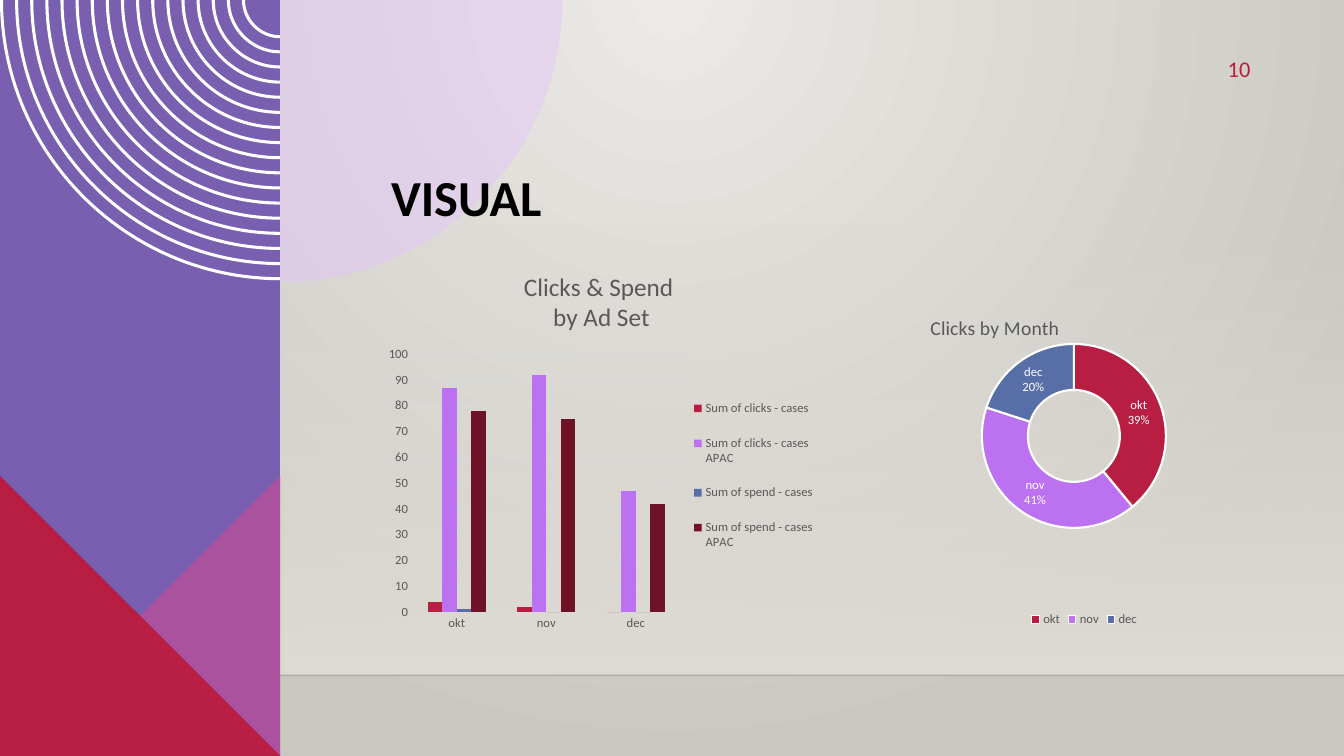
from lxml import etree
from pptx import Presentation
from pptx import util as u
from pptx.chart import data as chart_data
from pptx.dml.color import RGBColor
from pptx.enum import chart as charts, shapes, text
from pptx.oxml import parse_xml
from pptx.oxml.ns import nsdecls, qn

COLORS = {
    "black": "000000", "rule": "000001", "white": "FFFFFF", "purple": "795FAF", "red": "B71E42",
    "pink": "DE478E", "lilac": "E4C7F9", "violet": "BC72F0", "blue": "586EA6",
    "wine": "6E1228", "gray": "595959", "grid": "D9D9D9",
    "light": "ECEAE7", "dark": "CAC7C1", "floor": "DFDBD5",
}
FONT = "Calibri"
MONTHS = ["okt", "nov", "dec"]
PANEL = 2.78  # width of the coloured side panel


def arc(radius):
    """Bezier points of a quarter circle around the panel's top right corner."""
    bend = 0.55 * radius
    return [(PANEL - radius, 0), (PANEL - radius, bend), (PANEL - bend, radius), (PANEL, radius)]


def set_alpha(fill_element, percent):
    for color in fill_element.iter(qn("a:srgbClr")):
        etree.SubElement(color, qn("a:alpha")).set("val", str(percent * 1000))


def bend_lines(shape):
    """Turn each contour's segments into curves: three points a curve, then one line."""
    count = 0
    for segment in list(shape.element.iter(qn("a:moveTo"), qn("a:lnTo"))):
        if segment.tag == qn("a:moveTo"):
            count = 0
            continue
        if count % 4 == 0:
            curve = etree.Element(qn("a:cubicBezTo"))
            segment.addprevious(curve)
        if count % 4 < 3:
            curve.append(segment[0])
            segment.getparent().remove(segment)
        count += 1


def set_layout(parent, index, inner=False, **parts):
    """Place a chart part by fractions of the chart's size."""
    for old in parent.findall(qn("c:layout")):
        parent.remove(old)
    layout = etree.Element(qn("c:layout"))
    manual = etree.SubElement(layout, qn("c:manualLayout"))
    values = [("layoutTarget", "inner")] if inner else []
    values += [("xMode", "edge"), ("yMode", "edge")] + list(parts.items())
    for name, value in values:
        etree.SubElement(manual, qn("c:" + name)).set("val", str(value))
    parent.insert(index, layout)


class SlideBuilder:
    def __init__(self, slide):
        self.slide = slide

    def color(self, name):
        return RGBColor.from_string(COLORS[name])

    def style(self, font, size, color, bold=False):
        font.name, font.size, font.bold = FONT, u.Pt(size), bold
        font.color.rgb = self.color(color)

    def gradient(self, fill, first, last):
        fill.gradient()
        for stop, name, position in zip(fill.gradient_stops, (first, last), (0, 1)):
            stop.color.rgb = self.color(name)
            stop.position = position

    def background(self, first, last):
        self.gradient(self.slide.background.fill, first, last)
        element = self.slide.element.find(".//" + qn("a:gradFill"))
        element.replace(element.find(qn("a:lin")), parse_xml(
            f'<a:path {nsdecls("a")} path="circle">'
            '<a:fillToRect l="43000" t="0" r="43000" b="100000"/></a:path>'))

    def fade(self, left, top, width, height, color):
        shape = self.slide.shapes.add_shape(
            shapes.MSO_SHAPE.RECTANGLE, *map(u.Inches, (left, top, width, height)))
        shape.shadow.inherit = False
        shape.line.fill.background()
        self.gradient(shape.fill, color, color)
        shape.fill.gradient_angle = 270
        set_alpha(shape.element.spPr.find(".//" + qn("a:gs")), 0)

    def line(self, start, end, color, width, alpha):
        line = self.slide.shapes.add_connector(
            shapes.MSO_CONNECTOR.STRAIGHT, *map(u.Inches, start + end))
        line.line.width = u.Pt(width)
        line.line.color.rgb = self.color(color)
        properties = line.element.spPr
        set_alpha(properties, alpha)
        etree.SubElement(properties, qn("a:effectLst"))

    def outline(self, contours, color, alpha=100, curved=False):
        builder = None
        for contour in contours:
            first, *rest = [(u.Inches(x), u.Inches(y)) for x, y in contour]
            if builder is None:
                builder = self.slide.shapes.build_freeform(*first)
            else:
                builder.move_to(*first)
            builder.add_line_segments(rest, close=not curved)
        shape = builder.convert_to_shape()
        if curved:
            bend_lines(shape)
        shape.shadow.inherit = False
        shape.line.fill.background()
        shape.fill.solid()
        shape.fill.fore_color.rgb = self.color(color)
        if alpha < 100:
            set_alpha(shape.element.spPr, alpha)

    def text(self, left, top, width, height, words, size, color, bold=False,
             align=text.PP_ALIGN.LEFT, anchor=text.MSO_ANCHOR.TOP, margin=0.05):
        box = self.slide.shapes.add_textbox(*map(u.Inches, (left, top, width, height)))
        frame = box.text_frame
        frame.word_wrap = True
        frame.vertical_anchor = anchor
        frame.margin_top = frame.margin_bottom = u.Inches(margin)
        paragraph = frame.paragraphs[0]
        paragraph.alignment = align
        run = paragraph.add_run()
        run.text = words
        self.style(run.font, size, color, bold)

    def chart(self, kind, left, top, width, height, series, title, title_size, legend):
        data = chart_data.CategoryChartData()
        data.categories = MONTHS
        for name, values in series:
            data.add_series(name, values)
        chart = self.slide.shapes.add_chart(
            kind, *map(u.Inches, (left, top, width, height)), data).chart
        self.style(chart.font, 10, "black")
        chart.has_title = True
        frame = chart.chart_title.text_frame
        for i, words in enumerate(title):
            paragraph = frame.add_paragraph() if i else frame.paragraphs[0]
            paragraph.alignment = text.PP_ALIGN.CENTER
            run = paragraph.add_run()
            run.text = words
            self.style(run.font, title_size, "gray")
        chart.has_legend = True
        chart.legend.position = legend
        chart.legend.include_in_layout = False
        self.style(chart.legend.font, 9, "gray")
        return chart

    def column_chart(self, *box, series, colors, title):
        chart = self.chart(charts.XL_CHART_TYPE.COLUMN_CLUSTERED, *box, series, title, 18,
                           charts.XL_LEGEND_POSITION.RIGHT)
        plot = chart.plots[0]
        plot.gap_width, plot.overlap, plot.vary_by_categories = 219, 0, False
        for item, color in zip(plot.series, colors):
            item.format.fill.solid()
            item.format.fill.fore_color.rgb = self.color(color)
        for axis in (chart.category_axis, chart.value_axis):
            axis.major_tick_mark = axis.minor_tick_mark = charts.XL_TICK_MARK.NONE
            self.style(axis.tick_labels.font, 9, "gray")
        values = chart.value_axis
        values.minimum_scale, values.maximum_scale, values.major_unit = 0, 100, 10
        values.format.line.fill.background()
        for line in (chart.category_axis.format.line, values.major_gridlines.format.line):
            line.color.rgb = self.color("grid")
            line.width = u.Pt(0.75)
        area = chart.element.find(".//" + qn("c:plotArea"))
        set_layout(area, 0, inner=True, x=0.07, y=0.26, w=0.61, h=0.67)
        set_layout(chart.legend._element, 1, x=0.7, y=0.33, w=0.29, h=0.49)

    def doughnut_chart(self, *box, series, colors, title):
        chart = self.chart(charts.XL_CHART_TYPE.DOUGHNUT, *box, series, title, 14,
                           charts.XL_LEGEND_POSITION.BOTTOM)
        plot = chart.plots[0]
        plot.vary_by_categories = True
        for i, color in enumerate(colors):
            part = plot.series[0].points[i].format
            part.fill.solid()
            part.fill.fore_color.rgb = self.color(color)
            part.line.color.rgb = self.color("white")
            part.line.width = u.Pt(1.5)
        labels = plot.series[0].data_labels
        labels.show_category_name = labels.show_percentage = True
        labels.show_value = False
        self.style(labels.font, 9, "white")
        chart.element.find(".//" + qn("c:holeSize")).set("val", "58")
        area = chart.element.find(".//" + qn("c:plotArea"))
        set_layout(area, 0, inner=True, x=0.2, y=0.22, w=0.54, h=0.5)
        set_layout(chart.chart_title._element, 1, x=0.05, y=0.13)


def main():
    presentation = Presentation()
    presentation.slide_width, presentation.slide_height = u.Inches(13.33), u.Inches(7.5)
    slide = SlideBuilder(presentation.slides.add_slide(presentation.slide_layouts[6]))
    # Backdrop and floor line
    slide.background("light", "dark")
    slide.fade(0, 2.21, 13.33, 4.49, "floor")
    slide.line((0, 6.7), (13.33, 6.7), "rule", 1, 20)
    # Side panel with rings, triangles and quarter disc
    slide.outline([[(0, 0), (PANEL, 0), (PANEL, 7.5), (0, 7.5)]], "purple")
    radii = [PANEL - 0.15 * i for i in range(17)]
    slide.outline([arc(r) + arc(r - 0.03)[::-1] for r in radii], "white", curved=True)
    slide.outline([[(PANEL, 4.72), (PANEL, 7.5), (0, 7.5)]], "pink", 50)
    slide.outline([[(PANEL, 7.5), (0, 7.5), (0, 4.72)]], "red")
    disc = [(2 * PANEL - x, y) for x, y in arc(2.8)]
    slide.outline([disc + [(PANEL, 0)]], "lilac", 50, curved=True)
    # Title and slide number
    slide.text(3.78, 1.16, 8.71, 1.09, "VISUAL", 36, "black", bold=True,
               anchor=text.MSO_ANCHOR.BOTTOM, margin=0)
    slide.text(11.33, 0.5, 1.17, 0.52, "10", 16, "red", align=text.PP_ALIGN.RIGHT)
    # Charts
    slide.column_chart(
        3.78, 2.52, 4.37, 3.82, title=["Clicks & Spend ", "by Ad Set"],
        colors=["red", "violet", "blue", "wine"],
        series=[("Sum of clicks - cases", (4, 2, 0)),
                ("Sum of clicks - cases APAC", (87, 92, 47)),
                ("Sum of spend - cases", (1, 0, 0)),
                ("Sum of spend - cases APAC", (78, 75, 42))])
    slide.doughnut_chart(
        9.02, 2.61, 3.47, 3.65, title=["Clicks by Month"], colors=["red", "violet", "blue"],
        series=[("Series 1", (39, 41, 20))])
    presentation.save("out.pptx")


if __name__ == "__main__":
    main()
